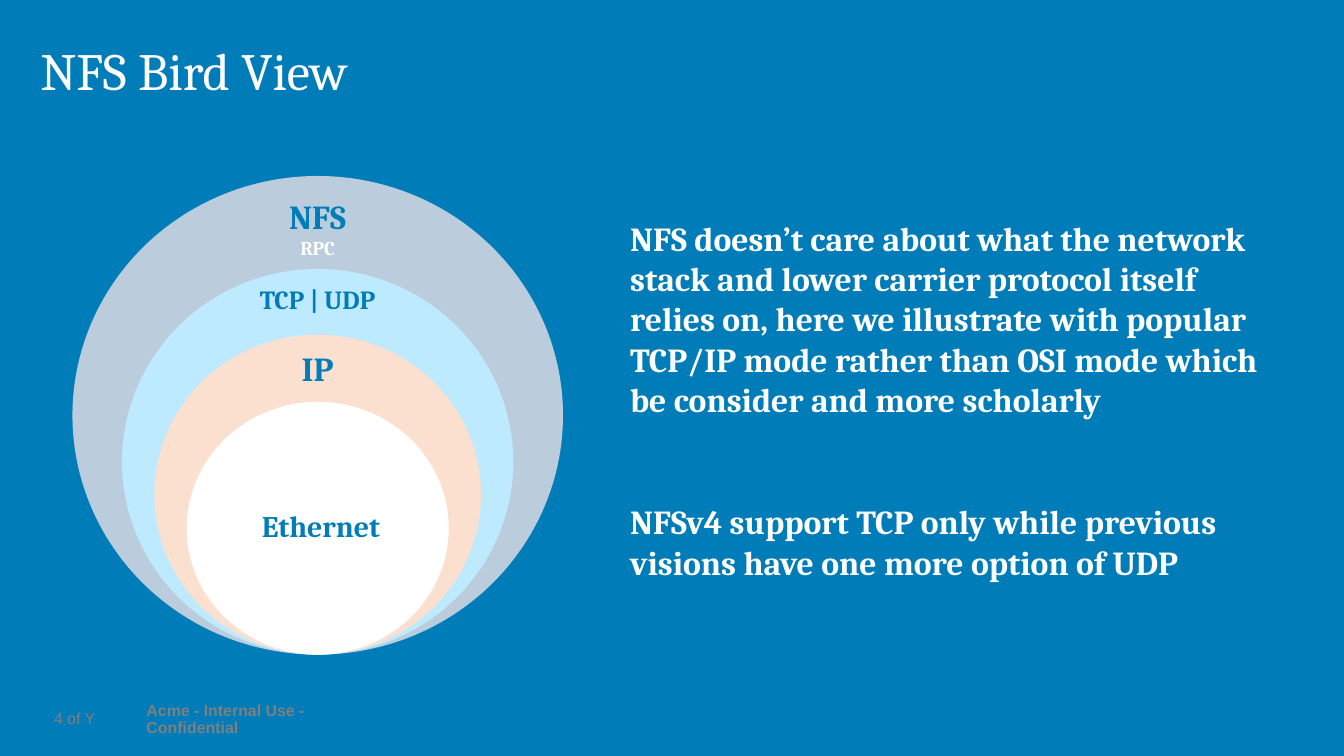
from pptx import Presentation
from pptx.dml.color import RGBColor
from pptx.enum import shapes, text
from pptx.util import Pt

BLUE = RGBColor(0x00, 0x7D, 0xB8)
WHITE = RGBColor(0xFF, 0xFF, 0xFF)
STEEL = RGBColor(0xBB, 0xCD, 0xDD)
SKY = RGBColor(0xBE, 0xEA, 0xFF)
PEACH = RGBColor(0xFC, 0xE0, 0xCF)
FOOTER_GREY = RGBColor(0x7F, 0x7F, 0x7F)
NUMBER_GREY = RGBColor(0x80, 0x80, 0x80)

LEFT, CENTER, RIGHT = text.PP_ALIGN.LEFT, text.PP_ALIGN.CENTER, text.PP_ALIGN.RIGHT
TOP, MIDDLE = text.MSO_ANCHOR.TOP, text.MSO_ANCHOR.MIDDLE


def write(frame, lines, insets=(7.2, 3.6, 7.2, 3.6), anchor=TOP, wrap=True,
          align=LEFT, spacing=1.0, before=0, after=0, face="Cambria", bold=True):
    left, top, right, bottom = map(Pt, insets)
    frame_format = {"margin_left": left, "margin_top": top, "margin_right": right,
                    "margin_bottom": bottom, "vertical_anchor": anchor, "word_wrap": wrap}
    for key, value in frame_format.items():
        setattr(frame, key, value)
    paragraph_format = {"alignment": align, "line_spacing": spacing,
                        "space_before": Pt(before), "space_after": Pt(after)}
    for index, (words, size, color) in enumerate(lines):
        paragraph = frame.add_paragraph() if index else frame.paragraphs[0]
        for key, value in paragraph_format.items():
            setattr(paragraph, key, value)
        run = paragraph.add_run()
        run.text = words
        for key, value in {"name": face, "size": Pt(size), "bold": bold}.items():
            setattr(run.font, key, value)
        run.font.color.rgb = color


def add_text(box, lines, **options):
    frame = slide.shapes.add_textbox(*map(Pt, box)).text_frame
    write(frame, lines, **options)


deck = Presentation()
deck.slide_width, deck.slide_height = Pt(720), Pt(405)
slide = deck.slides.add_slide(deck.slide_layouts[6])
slide.background.fill.solid()
slide.background.fill.fore_color.rgb = BLUE

footer = {"insets": (0, 0, 0, 0), "anchor": MIDDLE, "wrap": False,
          "spacing": 0.9, "face": "Arial"}
add_text((78.5, 380.9, 129.6, 9.4),
         [("Acme - Internal Use - Confidential", 8.5, FOOTER_GREY)],
         before=1, after=1, **footer)
add_text((23, 380.9, 10.8, 9.4), [("4", 8.5, NUMBER_GREY)],
         align=RIGHT, bold=False, **footer)
add_text((36, 380.9, 15.1, 9.4), [("of Y", 8.5, NUMBER_GREY)], bold=False, **footer)

add_text((21.6, 20.9, 626.4, 50.4), [("NFS Bird View", 28, WHITE)],
         insets=(0, 3.6, 0, 3.6), spacing=0.9, bold=False)

stack_center, stack_bottom = 170.2, 350.7
layers = [(262.8, 256.4, STEEL), (209.6, 206.6, SKY),
          (175, 171.4, PEACH), (140.4, 135.4, WHITE)]
for width, height, color in layers:
    layer = slide.shapes.add_shape(
        shapes.MSO_SHAPE.OVAL, Pt(stack_center - width / 2),
        Pt(stack_bottom - height), Pt(width), Pt(height))
    layer.shadow.inherit = False
    layer.fill.solid()
    layer.fill.fore_color.rgb = color
    layer.line.fill.background()
write(layer.text_frame, [("Ethernet", 16, BLUE)], insets=(14.4, 10.8, 10.8, 10.8),
      anchor=MIDDLE, align=CENTER, spacing=0.9, before=6)

labels = [
    (182.9, 81.4, 28.8, [("IP", 18, BLUE)]),
    (148.3, 108, 24.5, [("TCP | UDP", 14, BLUE)]),
    (101.5, 81.4, 41.8, [("NFS", 18, BLUE), ("RPC", 10.5, WHITE)]),
]
for top, width, height, lines in labels:
    add_text((stack_center - width / 2, top, width, height), lines, align=CENTER)

notes = [
    (113, 116.6, "NFS doesn’t care about what the network stack and lower carrier "
     "protocol itself relies on, here we illustrate with popular TCP/IP mode rather "
     "than OSI mode which be consider and more scholarly"),
    (265, 51.1, "NFSv4 support TCP only while previous visions have one more option of UDP"),
]
for top, height, words in notes:
    add_text((330.5, top, 356.4, height), [(words, 18, WHITE)])

deck.save("out.pptx")
